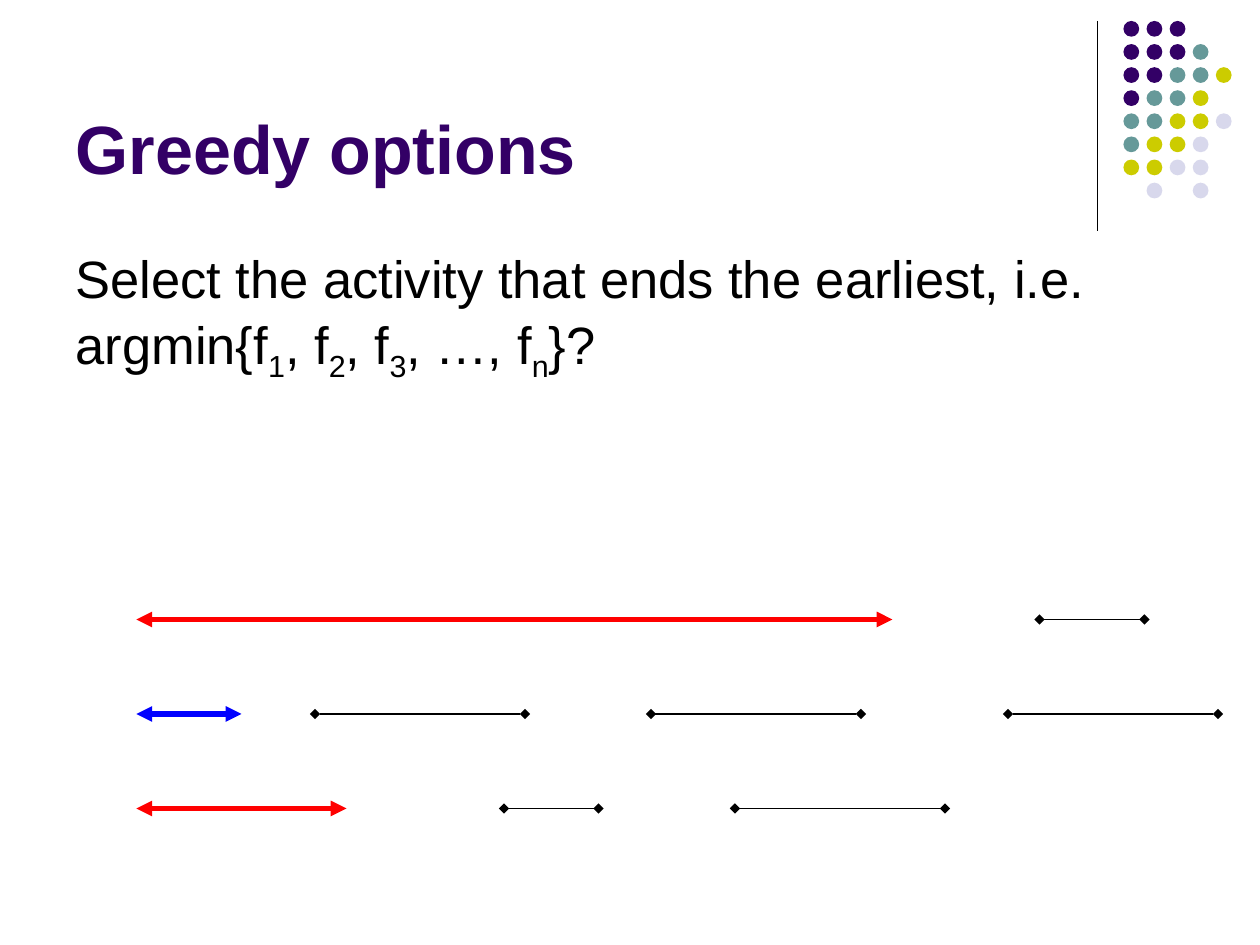
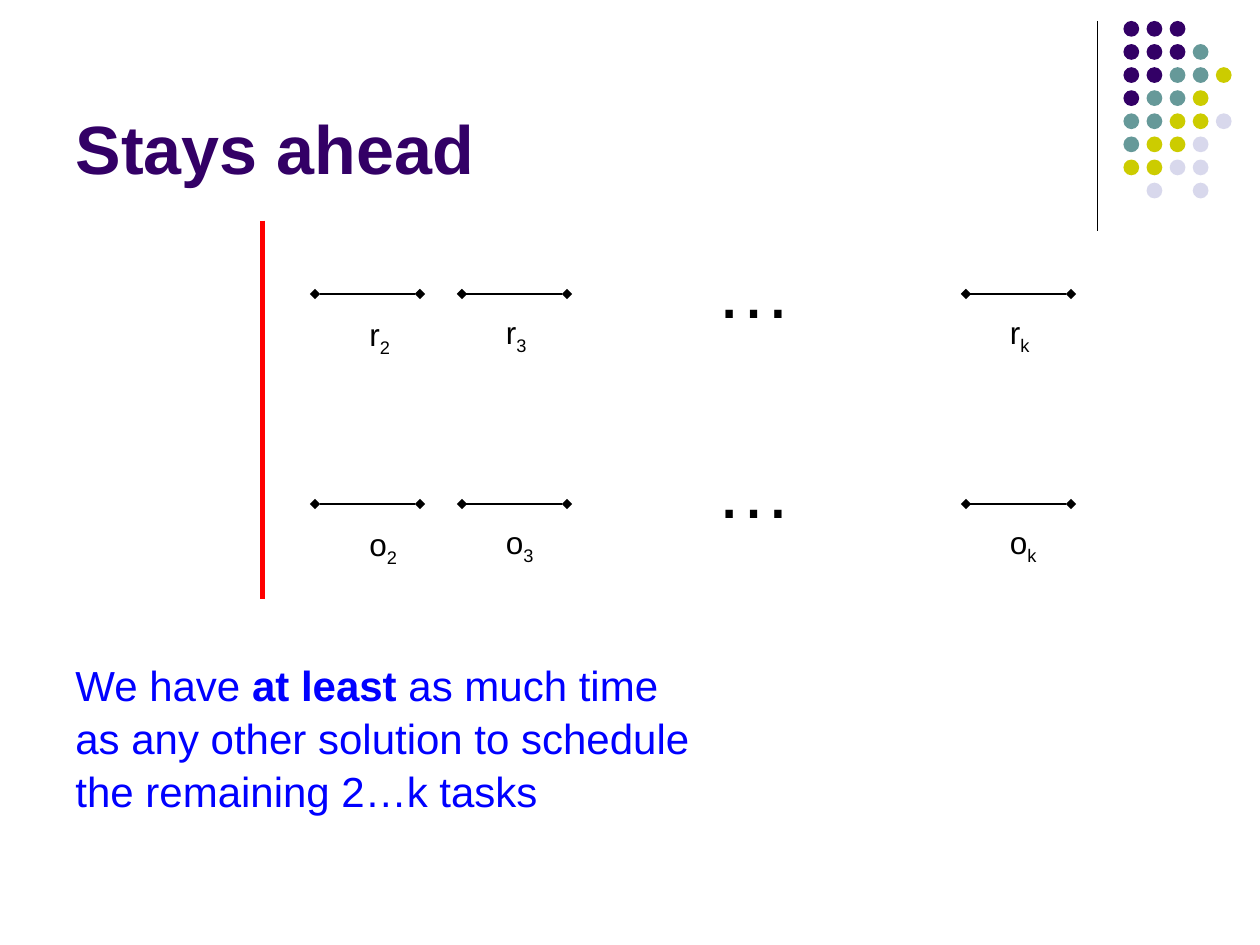
from dataclasses import dataclass
from typing import NamedTuple

from lxml.etree import SubElement
from pptx import Presentation
from pptx.dml.color import RGBColor as Rgb
from pptx.enum.shapes import MSO_CONNECTOR as Connector, MSO_SHAPE as Preset
from pptx.enum.text import MSO_ANCHOR as Anchor, MSO_AUTO_SIZE as AutoSize, PP_ALIGN as Align
from pptx.oxml.ns import qn
from pptx.util import Inches, Pt

COLUMNS = 120
ROWS = 90
SLIDE_WIDTH = Inches(10)
SLIDE_HEIGHT = Inches(7.5)


@dataclass(frozen=True)
class Theme:
    font: str = "Arial"
    purple: str = "330066"
    teal: str = "669999"
    olive: str = "CCCC00"
    lilac: str = "D8D8EC"
    black: str = "000000"
    red: str = "FF0000"
    blue: str = "0000FF"
    title_size: float = 39
    body_size: float = 30
    note_size: float = 24
    label_size: float = 18
    ellipsis_size: float = 44
    line_spacing: float = 1.05
    thin: float = 0.75
    thick: float = 3


THEME = Theme()


class Area(NamedTuple):
    column: float
    row: float
    columns: float
    rows: float


class Span(NamedTuple):
    text: str
    subscript: bool = False
    bold: bool = False


class TextStyle(NamedTuple):
    size: float
    color: str = THEME.black
    bold: bool = False
    anchor: Anchor = Anchor.TOP


class LineStyle(NamedTuple):
    color: str = THEME.black
    width: float = THEME.thin
    ends: str = ""


class Interval(NamedTuple):
    start: float
    end: float
    row: float
    style: LineStyle


class Task(NamedTuple):
    start: float
    subscript: str
    label_column: float
    label_drop: float


TITLE = TextStyle(THEME.title_size, THEME.purple, True, Anchor.BOTTOM)
BODY = TextStyle(THEME.body_size)
NOTE = TextStyle(THEME.note_size, THEME.blue)
LABEL = TextStyle(THEME.label_size)
ELLIPSIS = TextStyle(THEME.ellipsis_size)

PLAIN = LineStyle()
ACTIVITY = LineStyle(ends="diamond")
REJECTED = LineStyle(THEME.red, THEME.thick, "triangle")
CHOSEN = LineStyle(THEME.blue, THEME.thick, "triangle")
BARRIER = LineStyle(THEME.red, THEME.thick)

DOT_COLORS = {"P": THEME.purple, "T": THEME.teal, "O": THEME.olive, "L": THEME.lilac}
DOT_ROWS = ("PPP", "PPPT", "PPTTO", "PTTO", "TTOOL", "TOOL", "OOLL", ".L.L")
DOT_START = (107, 2)
DOT_PITCH = 2.2
DOT_SIZE = 1.5

TITLE_AREA = Area(6, 1.5, 99, 17)
BODY_AREA = Area(6, 22.5, 108, 22.5)
NOTE_AREA = Area(6, 62, 62, 15.6)

OPTIONS = (
    Interval(13, 85, 59, REJECTED),
    Interval(13, 23, 68, CHOSEN),
    Interval(13, 33, 77, REJECTED),
    Interval(30, 50, 68, ACTIVITY),
    Interval(48, 57, 77, ACTIVITY),
    Interval(62, 82, 68, ACTIVITY),
    Interval(70, 90, 77, ACTIVITY),
    Interval(96, 116, 68, ACTIVITY),
    Interval(99, 109, 59, ACTIVITY),
)

TASKS = (Task(30, "2", 34, 1.2), Task(44, "3", 47, 1), Task(92, "k", 95, 1))
TASK_LENGTH = 10


def across(columns: float) -> int:
    return round(SLIDE_WIDTH * columns / COLUMNS)


def down(rows: float) -> int:
    return round(SLIDE_HEIGHT * rows / ROWS)


def place(area: Area) -> tuple[int, int, int, int]:
    return across(area.column), down(area.row), across(area.columns), down(area.rows)


def write(box, spans: list[Span], style: TextStyle) -> None:
    frame = box.text_frame
    frame.word_wrap = True
    frame.auto_size = AutoSize.NONE
    frame.vertical_anchor = style.anchor
    para = frame.paragraphs[0]
    properties = para._p.get_or_add_pPr()
    properties.set("marL", "0")
    properties.set("indent", "0")
    SubElement(properties, qn("a:buNone"))
    para.alignment = Align.LEFT
    para.space_before = Pt(0)
    para.line_spacing = THEME.line_spacing
    para.font.name = THEME.font
    para.font.size = Pt(style.size)
    para.font.bold = style.bold
    para.font.color.rgb = Rgb.from_string(style.color)
    for span in spans:
        run = para.add_run()
        run.text = span.text
        if span.bold:
            run.font.bold = True
        if span.subscript:
            run._r.get_or_add_rPr().set("baseline", "-25000")


def fill_placeholder(box, area: Area, spans: list[Span], style: TextStyle) -> None:
    box.left, box.top, box.width, box.height = place(area)
    write(box, spans, style)


def add_text(page, area: Area, spans: list[Span], style: TextStyle) -> None:
    write(page.shapes.add_textbox(*place(area)), spans, style)


def add_line(page, start: tuple[float, float], end: tuple[float, float], style: LineStyle) -> None:
    line = page.shapes.add_connector(
        Connector.STRAIGHT, across(start[0]), down(start[1]), across(end[0]), down(end[1])
    )
    line.line.color.rgb = Rgb.from_string(style.color)
    line.line.width = Pt(style.width)
    properties = line.element.find(qn("p:spPr"))
    if style.ends:
        outline = properties.find(qn("a:ln"))
        for tag in ("a:headEnd", "a:tailEnd"):
            SubElement(outline, qn(tag)).set("type", style.ends)
    SubElement(properties, qn("a:effectLst"))


def add_interval(page, interval: Interval) -> None:
    add_line(page, (interval.start, interval.row), (interval.end, interval.row), interval.style)


def add_dots(page) -> None:
    group = page.shapes.add_group_shape()
    for row, codes in enumerate(DOT_ROWS):
        for column, code in enumerate(codes):
            if code not in DOT_COLORS:
                continue
            area = Area(
                DOT_START[0] + column * DOT_PITCH, DOT_START[1] + row * DOT_PITCH, DOT_SIZE, DOT_SIZE
            )
            dot = group.shapes.add_shape(Preset.OVAL, *place(area))
            dot.shadow.inherit = False
            dot.fill.solid()
            dot.fill.fore_color.rgb = Rgb.from_string(DOT_COLORS[code])
            dot.line.fill.background()


def add_page(deck, layout: int, title: str):
    page = deck.slides.add_slide(deck.slide_layouts[layout])
    add_line(page, (104.5, 2), (104.5, 22), PLAIN)
    add_dots(page)
    fill_placeholder(page.shapes.title, TITLE_AREA, [Span(title)], TITLE)
    return page


def add_greedy_options(deck) -> None:
    page = add_page(deck, 1, "Greedy options")
    spans = [Span("Select the activity that ends the earliest, i.e. argmin{f")]
    for subscript, following in (("1", ", f"), ("2", ", f"), ("3", ", …, f"), ("n", "}?")):
        spans += [Span(subscript, subscript=True), Span(following)]
    fill_placeholder(page.placeholders[1], BODY_AREA, spans, BODY)
    for interval in OPTIONS:
        add_interval(page, interval)


def add_schedule(page, letter: str, row: float, ellipsis_row: float) -> None:
    add_text(page, Area(67, ellipsis_row, 13, 10), [Span("…")], ELLIPSIS)
    for task in TASKS:
        add_interval(page, Interval(task.start, task.start + TASK_LENGTH, row, ACTIVITY))
        area = Area(task.label_column, row + task.label_drop, 6, 5.3)
        add_text(page, area, [Span(letter), Span(task.subscript, subscript=True)], LABEL)


def add_stays_ahead(deck) -> None:
    page = add_page(deck, 5, "Stays ahead")
    add_schedule(page, "r", 28, 22)
    add_schedule(page, "o", 48, 41)
    add_line(page, (25, 21), (25, 57), BARRIER)
    spans = [
        Span("We have "),
        Span("at least", bold=True),
        Span(" as much time as any other solution to schedule the remaining 2…k tasks"),
    ]
    add_text(page, NOTE_AREA, spans, NOTE)


def main() -> None:
    deck = Presentation()
    deck.slide_width = SLIDE_WIDTH
    deck.slide_height = SLIDE_HEIGHT
    add_greedy_options(deck)
    add_stays_ahead(deck)
    deck.save("out.pptx")


if __name__ == "__main__":
    main()
